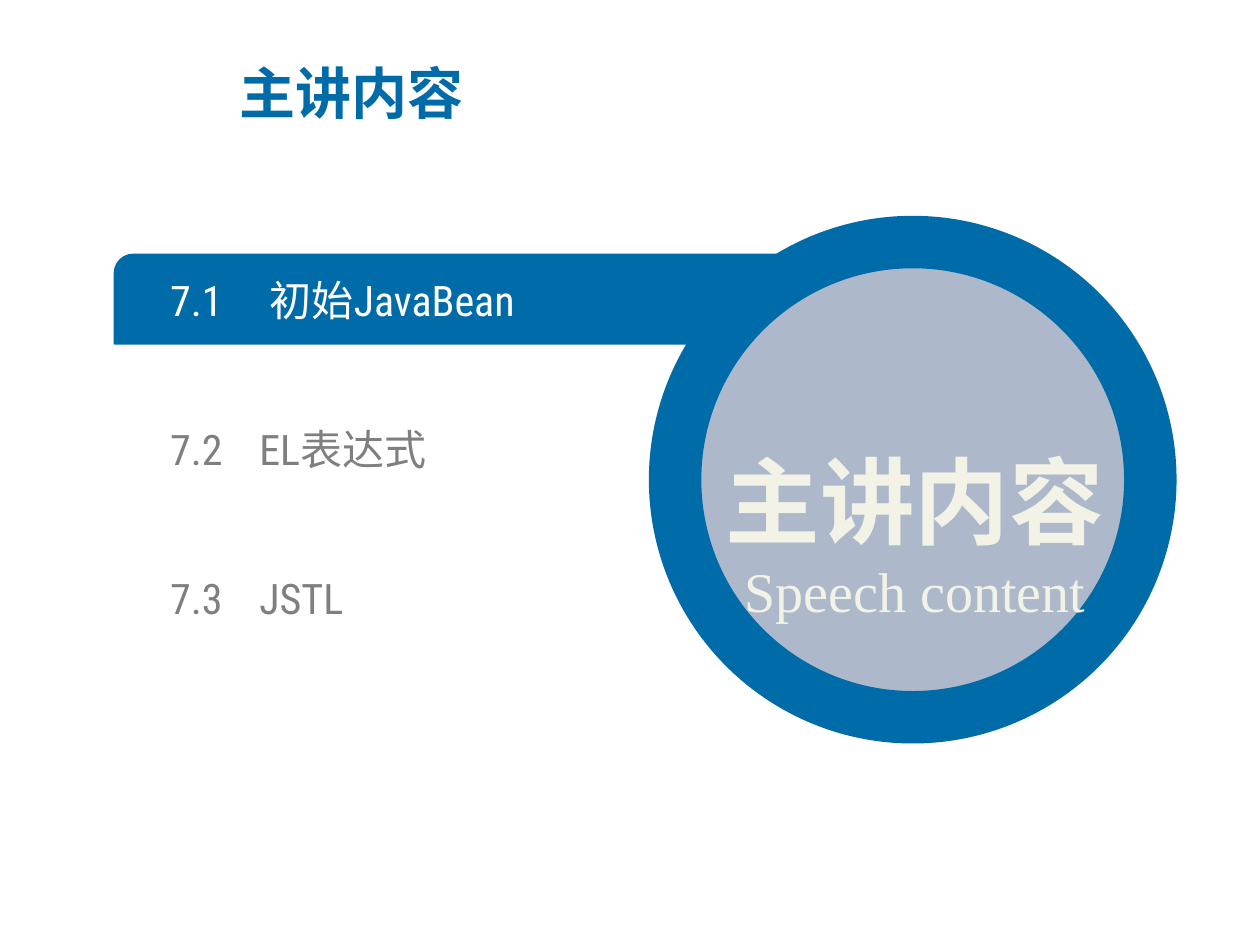
from lxml import etree
from pptx import Presentation
from pptx.dml.color import RGBColor
from pptx.enum.shapes import MSO_SHAPE
from pptx.enum.text import MSO_ANCHOR, MSO_AUTO_SIZE, PP_ALIGN
from pptx.oxml.ns import qn
from pptx.util import Cm, Pt

BAR = MSO_SHAPE.ROUND_2_DIAG_RECTANGLE
CIRCLE = MSO_SHAPE.OVAL
MIDDLE = MSO_ANCHOR.MIDDLE
LEFT, CENTER = PP_ALIGN.LEFT, PP_ALIGN.CENTER
NO_FIT = MSO_AUTO_SIZE.NONE

BLUE, GREY, WHITE, CREAM = "006BA9", "7F7F7F", "FFFFFF", "F2F2E6"
CJK, LATIN, SERIF = "Noto Sans CJK SC", "Roboto Condensed", "Times New Roman"

# Number, topic, colour, tab stop in cm
TOPICS = [
    ("7.1", "初始JavaBean", WHITE, 2.01),
    ("7.2", "EL表达式", GREY, 1.8),
    ("7.3", "JSTL", GREY, 1.8),
]
FIRST_TOP, ROW_STEP = 5.54, 3.0


def rgb(color):
    return RGBColor.from_string(color)


def style(p, font, size, color, bold=False, align=LEFT):
    """Format a paragraph and all of its runs."""
    p.alignment = align
    for r in p.runs:
        r.font.name, r.font.size, r.font.bold = font, Pt(size), bold
        r.font.color.rgb = rgb(color)
        ea = etree.SubElement(r.font._element, qn("a:ea"))
        ea.set("typeface", CJK)


def add_tab_stop(p, position):
    tabs = etree.SubElement(p._p.get_or_add_pPr(), qn("a:tabLst"))
    tab = etree.SubElement(tabs, qn("a:tab"))
    tab.set("pos", str(int(position)))
    tab.set("algn", "l")


def add_panel(s, kind, box, fill, line_width):
    sp = s.shapes.add_shape(kind, *map(Cm, box))
    sp.shadow.inherit = False
    sp.fill.solid()
    sp.fill.fore_color.rgb = rgb(fill)
    sp.line.color.rgb = rgb(BLUE)
    sp.line.width = Pt(line_width)
    return sp


def add_text(s, box, text):
    tf = s.shapes.add_textbox(*map(Cm, box)).text_frame
    tf.word_wrap = True
    tf.vertical_anchor = MIDDLE
    tf.text = text
    return tf


def add_title(s, text):
    sp = s.shapes.title
    sp.left, sp.top, sp.width, sp.height = map(Cm, (4.57, 1.09, 13.74, 1.55))
    tf = sp.text_frame
    tf.text = text
    tf.auto_size = NO_FIT
    tf.vertical_anchor = MIDDLE
    style(tf.paragraphs[0], CJK, 32, BLUE, bold=True)


def add_topic(s, top, number, topic, color, tab):
    tf = add_text(s, (3.43, top, 11.73, 1.02), f"{number}\t{topic}")
    tf.margin_left = tf.margin_right = tf.margin_top = tf.margin_bottom = 0
    p = tf.paragraphs[0]
    style(p, LATIN, 24, color)
    add_tab_stop(p, Cm(tab))


def main():
    prs = Presentation()
    prs.slide_width, prs.slide_height = Cm(25.4), Cm(19.05)
    s = prs.slides.add_slide(prs.slide_layouts[5])
    add_title(s, "主讲内容")

    # Highlight bar running into the circle
    bar = add_panel(s, BAR, (2.31, 5.13, 15.88, 1.8), BLUE, 1)
    bar.adjustments[0] = 0.21
    add_panel(s, CIRCLE, (13.61, 4.88, 9.58, 9.58), "ADB9CA", 30)

    # Caption in the circle
    tf = add_text(s, (13.49, 7.65, 9.91, 5.08), "主讲内容\nSpeech content")
    heading, subtitle = tf.paragraphs
    style(heading, CJK, 54, CREAM, bold=True, align=CENTER)
    heading.line_spacing = 1.5
    style(subtitle, SERIF, 32, CREAM, align=CENTER)

    # Topic rows
    for i, topic in enumerate(TOPICS):
        add_topic(s, FIRST_TOP + i * ROW_STEP, *topic)

    prs.save("out.pptx")


if __name__ == "__main__":
    main()
